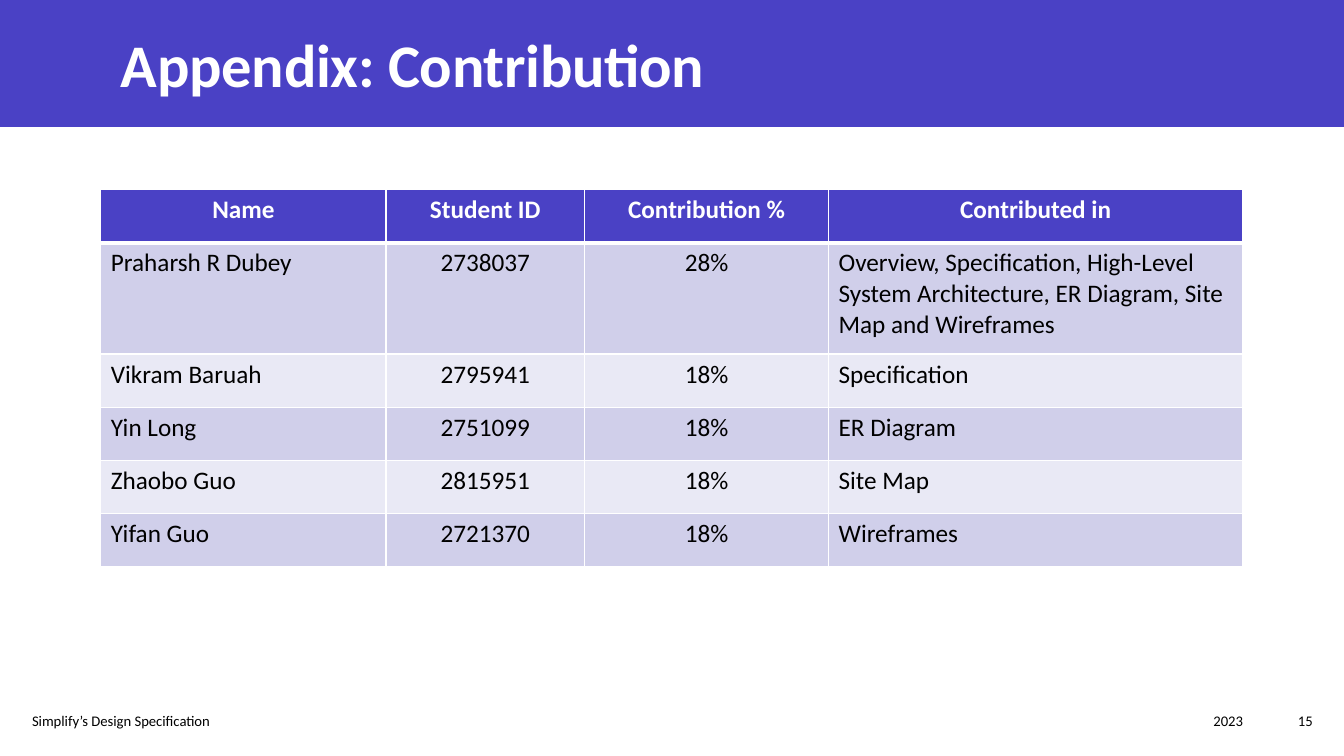
from lxml.etree import SubElement
from pptx import Presentation
from pptx.dml.color import RGBColor
from pptx.enum.shapes import MSO_SHAPE
from pptx.enum.text import MSO_ANCHOR, MSO_AUTO_SIZE, PP_ALIGN
from pptx.oxml.ns import qn
from pptx.util import Pt

INDIGO, LILAC, MIST = "4A41C5", "D0CFEA", "E9E9F5"
WHITE, BLACK = "FFFFFF", "000000"
LEFT, CENTER, RIGHT = PP_ALIGN.LEFT, PP_ALIGN.CENTER, PP_ALIGN.RIGHT

COLUMN_WIDTHS = [203.8, 141.8, 174.3, 295.9]
COLUMN_ALIGNS = [LEFT, CENTER, CENTER, LEFT]
ROW_HEIGHTS = [38, 79.5, 38, 38, 38, 38]
CONTRIBUTIONS = [
    ["Name", "Student ID", "Contribution %", "Contributed in"],
    ["Praharsh R Dubey", "2738037", "28%",
     "Overview, Specification, High-Level System Architecture, "
     "ER Diagram, Site Map and Wireframes"],
    ["Vikram Baruah", "2795941", "18%", "Specification"],
    ["Yin Long", "2751099", "18%", "ER Diagram"],
    ["Zhaobo Guo", "2815951", "18%", "Site Map"],
    ["Yifan Guo", "2721370", "18%", "Wireframes"],
]


def paint(color_format, color):
    color_format.rgb = RGBColor.from_string(color)


class SlideBuilder:
    """Draw styled elements on one slide, with lengths in points."""

    def __init__(self, slide, font="Calibri"):
        self.slide = slide
        self.shapes = slide.shapes
        self.font = font

    def set_text(self, frame, text, size, color, align=LEFT, bold=False):
        frame.text = text
        paragraph = frame.paragraphs[0]
        paragraph.alignment = align
        paragraph.font.name = self.font
        paragraph.font.size = Pt(size)
        paragraph.font.bold = bold
        paint(paragraph.font.color, color)
        return paragraph

    def title(self, text, left, top, width, height):
        title = self.shapes.title
        title.left, title.top = Pt(left), Pt(top)
        title.width, title.height = Pt(width), Pt(height)
        frame = title.text_frame
        frame.auto_size = MSO_AUTO_SIZE.NONE
        frame.vertical_anchor = MSO_ANCHOR.MIDDLE
        heading = self.set_text(frame, text, 43.2, WHITE, bold=True)
        heading.runs[0]._r.get_or_add_rPr().set("spc", "-20")

    def band(self, width, height, color):
        band = self.shapes.add_shape(MSO_SHAPE.RECTANGLE, 0, 0, Pt(width), Pt(height))
        band.shadow.inherit = False
        band.fill.solid()
        paint(band.fill.fore_color, color)
        band.line.fill.background()
        self.shapes.title._element.addprevious(band._element)

    def footer(self, text, left, width, align=LEFT):
        frame = self.shapes.add_textbox(Pt(left), Pt(500.4), Pt(width), Pt(28.8)).text_frame
        frame.word_wrap = True
        frame.vertical_anchor = MSO_ANCHOR.MIDDLE
        self.set_text(frame, text, 10.5, BLACK, align)

    def cell_borders(self, cell, **widths):
        properties = cell._tc.get_or_add_tcPr()
        for side in "LRTB":
            line = SubElement(properties, qn(f"a:ln{side}"), w=str(Pt(widths.get(side, 1))))
            fill = SubElement(line, qn("a:solidFill"))
            SubElement(fill, qn("a:srgbClr"), val=WHITE)

    def table(self, rows, left, top, widths, heights, aligns):
        table = self.shapes.add_table(
            len(rows), len(widths), Pt(left), Pt(top), Pt(sum(widths)), Pt(sum(heights))
        ).table
        for column, width in zip(table.columns, widths):
            column.width = Pt(width)
        for row, height in zip(table.rows, heights):
            row.height = Pt(height)
        for r, texts in enumerate(rows):
            header = r == 0
            fill = INDIGO if header else LILAC if r % 2 else MIST
            rules = {0: {"B": 3}, 1: {"T": 3}}.get(r, {})
            for c, text in enumerate(texts):
                cell = table.cell(r, c)
                self.cell_borders(cell, **rules)
                cell.fill.solid()
                paint(cell.fill.fore_color, fill)
                self.set_text(cell.text_frame, text, 18, WHITE if header else BLACK,
                              CENTER if header else aligns[c], header)


def main():
    deck = Presentation()
    deck.slide_width, deck.slide_height = Pt(960), Pt(540)
    builder = SlideBuilder(deck.slides.add_slide(deck.slide_layouts[5]))
    builder.band(960, 90.7, INDIGO)
    builder.title("Appendix: Contribution", 79.2, 15.1, 741.6, 60.5)
    builder.footer("Simplify’s Design Specification", 15.8, 380.9)
    builder.footer("2023", 552.2, 342.8, RIGHT)
    builder.footer("15", 895, 49.7, RIGHT)
    builder.table(CONTRIBUTIONS, 72, 135.4, COLUMN_WIDTHS, ROW_HEIGHTS, COLUMN_ALIGNS)
    deck.save("out.pptx")


if __name__ == "__main__":
    main()
